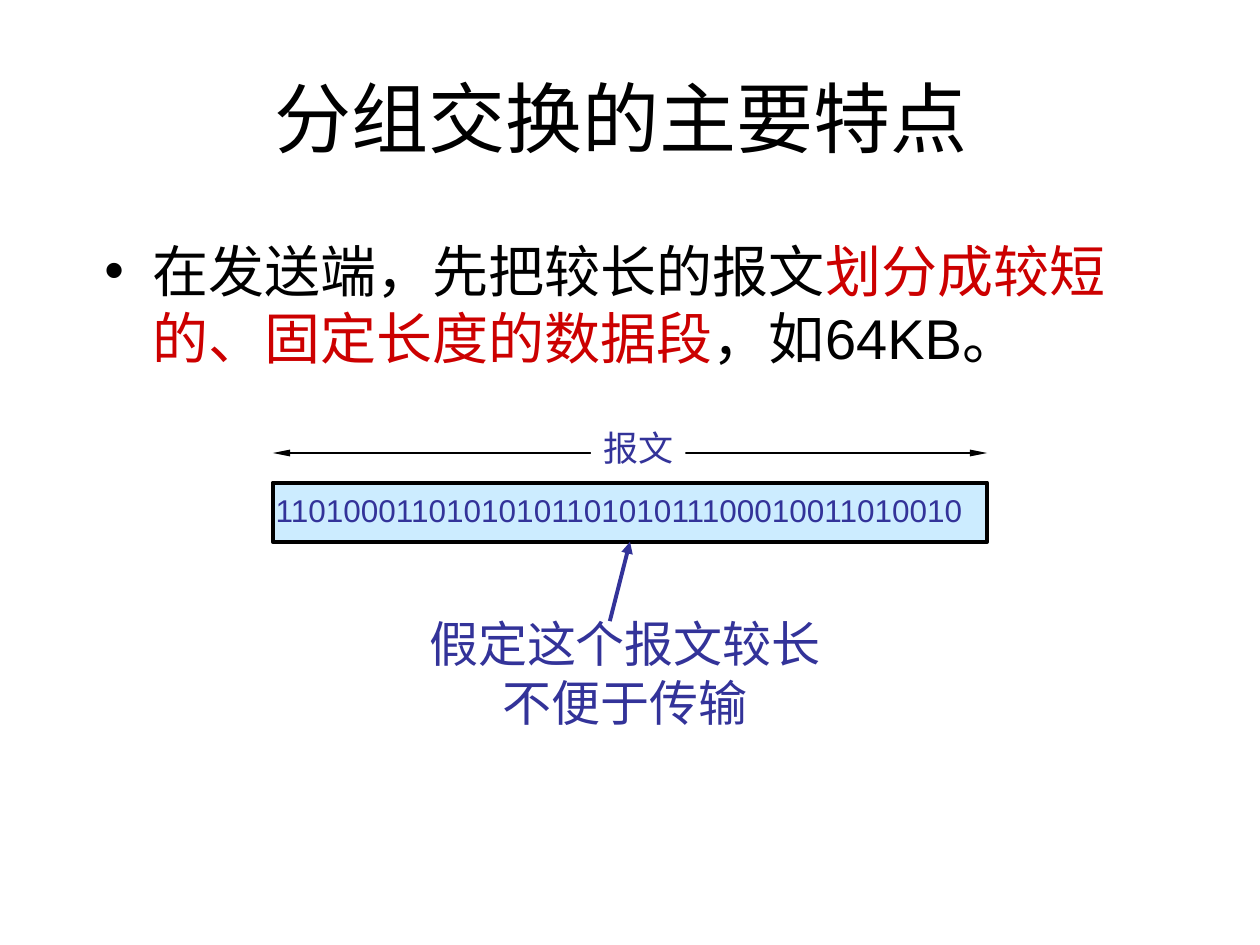
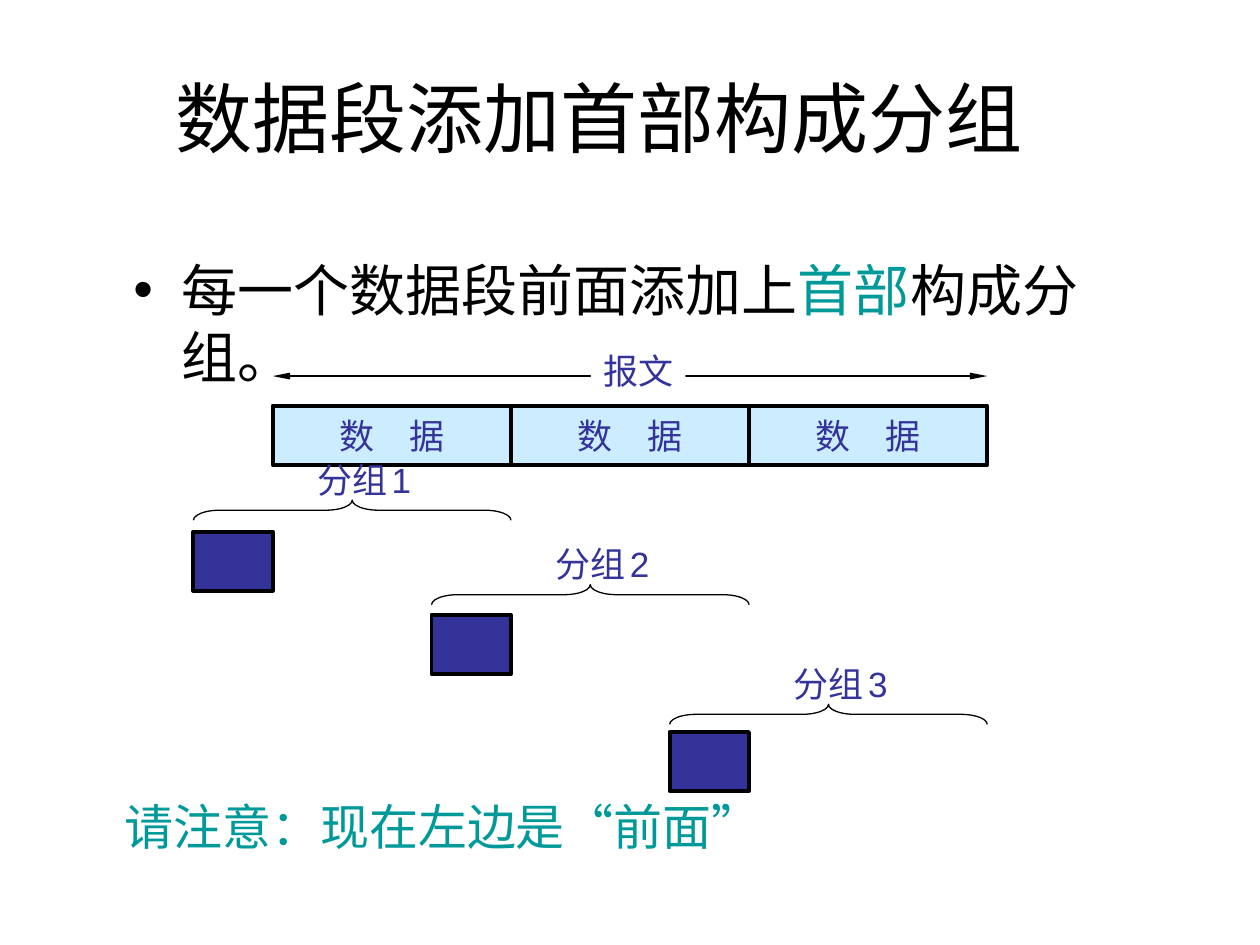
from dataclasses import dataclass

from lxml.etree import SubElement
from pptx import Presentation
from pptx.dml.color import RGBColor
from pptx.enum.shapes import MSO_CONNECTOR, MSO_SHAPE
from pptx.enum.text import MSO_ANCHOR, MSO_AUTO_SIZE, PP_ALIGN
from pptx.oxml.ns import qn
from pptx.util import Emu, Inches, Pt

WIDTH, HEIGHT = Inches(10), Inches(7.5)
GRID_LEFT, COLUMN, ROW = 15.35, 6.3, 6.27
SEGMENT_COLUMNS, SEGMENT_COUNT = 3, 3
BRACE_DEPTH, BRACE_CURVE = 2.13, 1.31

BLACK, WHITE = "000000", "FFFFFF"
NAVY, SKY, RED, TEAL = "333399", "CCECFF", "CC0000", "009999"
ARIAL, KARLA, TIMES = "Arial", "Karla", "Times New Roman"


@dataclass(frozen=True)
class Area:
    """Percentages of the slide's width and height."""
    left: float
    top: float
    width: float
    height: float

    def lengths(self) -> tuple[Emu, Emu, Emu, Emu]:
        return (across(self.left), down(self.top),
                across(self.width), down(self.height))


@dataclass(frozen=True)
class Span:
    text: str
    size: float = 20
    font: str = KARLA
    color: str = NAVY


@dataclass(frozen=True)
class Packet:
    number: int
    brace_top: float
    header_top: float


PACKETS = [Packet(1, 52.93, 56.27), Packet(2, 61.87, 65.07), Packet(3, 74.53, 77.47)]


def across(share: float) -> Emu:
    return Emu(round(WIDTH * share / 100))


def down(share: float) -> Emu:
    return Emu(round(HEIGHT * share / 100))


def column(index: float) -> float:
    return GRID_LEFT + COLUMN * index


def cells(first: float, count: float, top: float) -> Area:
    return Area(column(first), top, COLUMN * count, ROW)


def rgb(color: str) -> RGBColor:
    return RGBColor.from_string(color)


def add_spans(para, spans: list[Span]) -> None:
    for span in spans:
        run = para.add_run()
        run.text = span.text
        run.font.size = Pt(span.size)
        run.font.name = span.font
        run.font.color.rgb = rgb(span.color)


def write(frame, lines: list[list[Span]], align=PP_ALIGN.LEFT) -> None:
    for index, spans in enumerate(lines):
        para = frame.add_paragraph() if index else frame.paragraphs[0]
        para.alignment = align
        add_spans(para, spans)


def add_title(page, text: str, width: float) -> None:
    title = page.shapes.title
    title.left, title.top, title.width, title.height = Area(5, 4, width, 16.67).lengths()
    title.text_frame.auto_size = MSO_AUTO_SIZE.NONE
    title.text_frame.vertical_anchor = MSO_ANCHOR.MIDDLE
    write(title.text_frame, [[Span(text, 44, ARIAL, BLACK)]], PP_ALIGN.CENTER)


def add_bullet(page, area: Area, parts: list[tuple[str, str]]) -> None:
    frame = page.shapes.add_textbox(*area.lengths()).text_frame
    frame.word_wrap = True
    para = frame.paragraphs[0]
    properties = para._p.get_or_add_pPr()
    properties.set("marL", str(Inches(0.38)))
    properties.set("indent", str(-Inches(0.38)))
    properties.set("hangingPunct", "0")
    bullet_color = SubElement(properties, qn("a:buClr"))
    SubElement(bullet_color, qn("a:srgbClr"), val=BLACK)
    SubElement(properties, qn("a:buFont"), typeface=ARIAL)
    SubElement(properties, qn("a:buChar"), char="•")
    add_spans(para, [Span(text, 32, ARIAL, color) for text, color in parts])


def add_label(page, area: Area, lines: list[list[Span]], align=PP_ALIGN.LEFT):
    box = page.shapes.add_textbox(*area.lengths())
    frame = box.text_frame
    frame.word_wrap = True
    frame.auto_size = MSO_AUTO_SIZE.NONE
    centered = align == PP_ALIGN.CENTER
    frame.margin_left = Inches(0 if centered else 0.1)
    frame.margin_right = Inches(0)
    write(frame, lines, align)
    return box


def add_block(page, area: Area, fill: str = "", line: float = 0, text: str = ""):
    block = page.shapes.add_shape(MSO_SHAPE.RECTANGLE, *area.lengths())
    block.shadow.inherit = False
    if fill:
        block.fill.solid()
        block.fill.fore_color.rgb = rgb(fill)
    else:
        block.fill.background()
    if line:
        block.line.color.rgb = rgb(BLACK)
        block.line.width = Pt(line)
    else:
        block.line.fill.background()
    if text:
        block.text_frame.word_wrap = True
        block.text_frame.vertical_anchor = MSO_ANCHOR.MIDDLE
        write(block.text_frame, [[Span(text)]], PP_ALIGN.CENTER)
    return block


def add_segments(page, top: float, line: float = 0, text: str = "") -> None:
    for index in range(SEGMENT_COUNT):
        first = 1 + index * SEGMENT_COLUMNS
        add_block(page, cells(first, SEGMENT_COLUMNS, top), SKY, line, text)


def add_arrow(page, start: tuple[float, float], end: tuple[float, float], color: str,
              width: float, heads: list[str], head_width: str, head_length: str):
    arrow = page.shapes.add_connector(
        MSO_CONNECTOR.STRAIGHT, across(start[0]), down(start[1]),
        across(end[0]), down(end[1]))
    arrow.line.color.rgb = rgb(color)
    arrow.line.width = Pt(width)
    outline = arrow.line._get_or_add_ln()
    for head in heads:
        SubElement(outline, qn(head), type="triangle", w=head_width, len=head_length)
    SubElement(arrow._element.spPr, qn("a:effectLst"))
    return arrow


def add_message_span(page, message_top: float) -> None:
    middle = message_top - 3.13
    add_arrow(page, (column(1), middle), (column(10), middle), BLACK, 0.75,
              ["a:headEnd", "a:tailEnd"], "sm", "lg")
    label = add_label(page, Area(46.9, message_top - 6.6, 7.5, 5.87),
                      [[Span("报文", font=TIMES)]])
    label.fill.solid()
    label.fill.fore_color.rgb = rgb(WHITE)


def add_brace(page, area: Area) -> None:
    left, top, length, depth = area.lengths()
    brace = page.shapes.add_shape(
        MSO_SHAPE.LEFT_BRACE, left + (length - depth) // 2,
        top + (depth - length) // 2, depth, length)
    brace.rotation = 90
    brace.adjustments[0] = BRACE_CURVE
    brace.shadow.inherit = False
    brace.fill.background()
    brace.line.color.rgb = rgb(BLACK)
    brace.line.width = Pt(0.75)


def add_packet(page, packet: Packet) -> None:
    first = (packet.number - 1) * SEGMENT_COLUMNS
    add_block(page, cells(first, 1, packet.header_top), NAVY, 2.25)
    add_brace(page, Area(column(first), packet.brace_top,
                         COLUMN * (SEGMENT_COLUMNS + 1), BRACE_DEPTH))
    add_label(page, Area(column(first + 1.41), packet.brace_top - 5.07, 9.7, 5.87),
              [[Span("分组"), Span(" ", 10, ARIAL), Span(str(packet.number), font=ARIAL)]])


def build_message_page(page) -> None:
    top = 51.07
    add_message_span(page, top)
    add_title(page, "分组交换的主要特点 ", 90)
    add_bullet(page, Area(7.3, 24.4, 83, 61.73), [
        ("在发送端，先把较长的报文", BLACK),
        ("划分成较短的、固定长度的数据段", RED),
        ("，如64KB。", BLACK)])
    add_segments(page, top)
    message = add_block(page, cells(1, SEGMENT_COUNT * SEGMENT_COLUMNS, top), line=2.25)
    add_label(page, Area(20.9, 51.33, 57.6, 5.33),
              [[Span("1101000110101010110101011100010011010010", 18, ARIAL)]])
    add_label(page, Area(33.1, 64.27, 33, 13.87),
              [[Span("假定这个报文较长", 28)], [Span("不便于传输", 28)]], PP_ALIGN.CENTER)
    pointer = add_arrow(page, (48.4, 65.73), (column(5.5), top + ROW), NAVY, 2.25,
                        ["a:tailEnd"], "med", "med")
    pointer.end_connect(message, 2)


def build_packet_page(page) -> None:
    top = 42.93
    add_segments(page, top, 2.25, "数　据")
    add_message_span(page, top)
    add_title(page, "数据段添加首部构成分组", 85.2)
    add_bullet(page, Area(9.6, 26.4, 84.5, 61.73), [
        ("每一个数据段前面添加上", BLACK), ("首部", TEAL), ("构成分组。", BLACK)])
    for packet in PACKETS:
        add_packet(page, packet)
    add_label(page, Area(8.9, 83.6, 52.5, 7.6), [[
        Span("请注意：现在左边是", 28, KARLA, TEAL), Span("“", 28, ARIAL, TEAL),
        Span("前面", 28, KARLA, TEAL), Span("”", 28, ARIAL, TEAL)]])


def main() -> None:
    deck = Presentation()
    deck.slide_width, deck.slide_height = WIDTH, HEIGHT
    title_only = deck.slide_layouts[5]
    for build in (build_message_page, build_packet_page):
        build(deck.slides.add_slide(title_only))
    deck.save("out.pptx")


if __name__ == "__main__":
    main()
